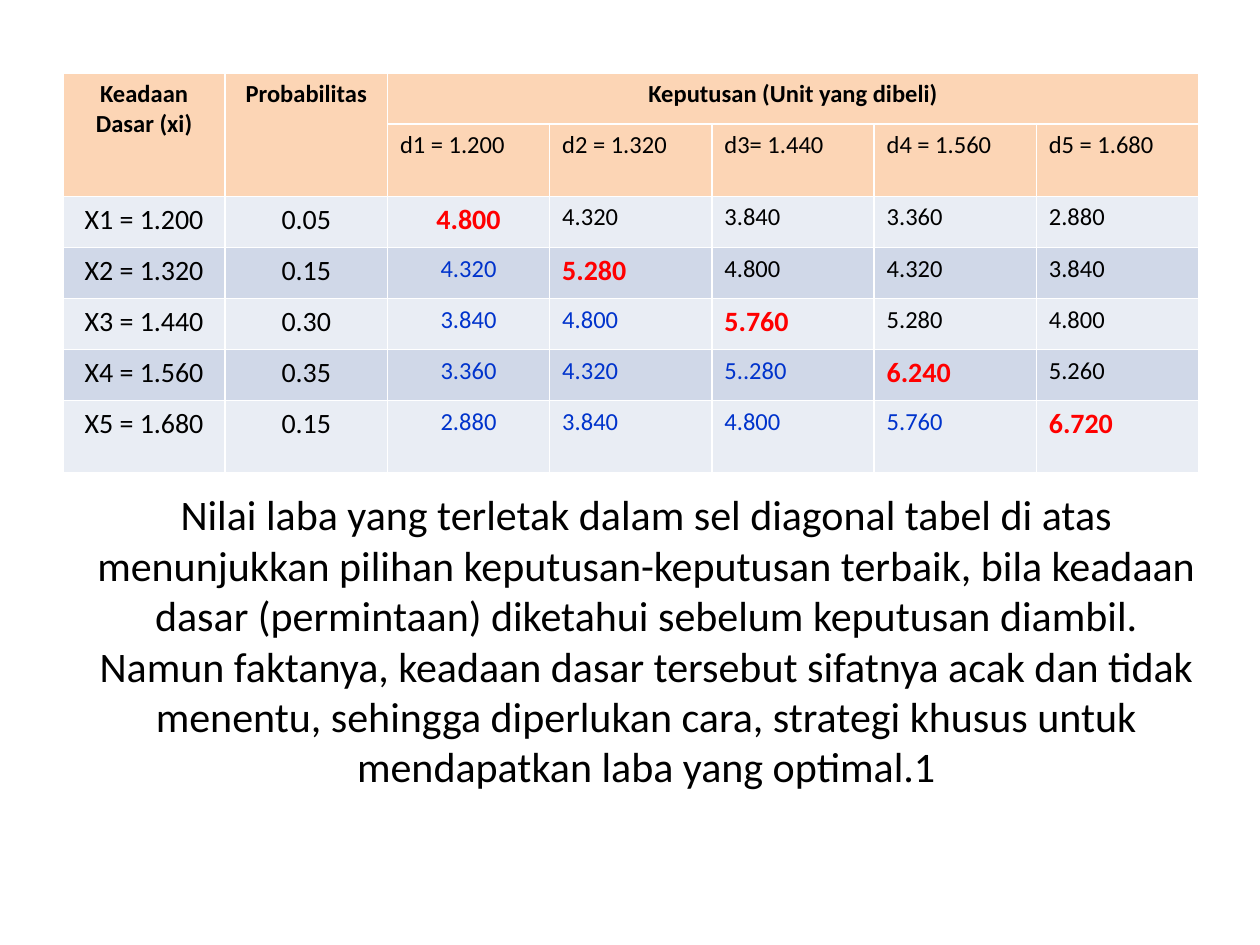
from pptx import Presentation
from pptx.dml.color import RGBColor
from pptx.enum.text import MSO_AUTO_SIZE as AutoSize, PP_ALIGN as Align
from pptx.util import Cm, Pt

BLACK, RED, BLUE = "000000", "FF0000", "0033CC"
HEADER_FILL = "FCD5B5"
BAND_FILLS = ("E9EDF4", "D0D8E8")

DECISIONS = ["d1 = 1.200", "d2 = 1.320", "d3= 1.440", "d4 = 1.560", "d5 = 1.680"]
STATES = [
    ("X1 = 1.200", "0.05", "4.800", "4.320", "3.840", "3.360", "2.880"),
    ("X2 = 1.320", "0.15", "4.320", "5.280", "4.800", "4.320", "3.840"),
    ("X3 = 1.440", "0.30", "3.840", "4.800", "5.760", "5.280", "4.800"),
    ("X4 = 1.560", "0.35", "3.360", "4.320", "5..280", "6.240", "5.260"),
    ("X5 = 1.680", "0.15", "2.880", "3.840", "4.800", "5.760", "6.720"),
]
ROW_HEIGHTS = [1.03, 1.45, 1.03, 1.03, 1.03, 1.03, 1.45]
COLUMN_WIDTH = 3.27
CONCLUSION = (
    "Nilai laba yang terletak dalam sel diagonal tabel di atas menunjukkan "
    "pilihan keputusan-keputusan terbaik, bila keadaan dasar (permintaan) "
    "diketahui sebelum keputusan diambil. Namun faktanya, keadaan dasar "
    "tersebut sifatnya acak dan tidak menentu, sehingga diperlukan cara, "
    "strategi khusus untuk mendapatkan laba yang optimal.1"
)


def rgb(color):
    return RGBColor.from_string(color)


class SlideBuilder:
    font = "Calibri"

    def __init__(self, prs):
        self.s = prs.slides.add_slide(prs.slide_layouts[6])

    def add_text(self, tf, text, size, color=BLACK, bold=False, align=Align.LEFT):
        p = tf.paragraphs[0]
        p.alignment = align
        r = p.add_run()
        r.text = text
        r.font.name = self.font
        r.font.size = Pt(size)
        r.font.bold = bold
        r.font.color.rgb = rgb(color)

    def table(self, left, top, column_count, column_width, row_heights):
        sp = self.s.shapes.add_table(
            len(row_heights), column_count, Cm(left), Cm(top),
            Cm(column_count * column_width), Cm(sum(row_heights)))
        for column in sp.table.columns:
            column.width = Cm(column_width)
        for row, height in zip(sp.table.rows, row_heights):
            row.height = Cm(height)
        return sp.table

    def fill_row(self, row, color):
        for cell in row.cells:
            cell.fill.solid()
            cell.fill.fore_color.rgb = rgb(color)

    def text_box(self, left, top, width, height, text, size):
        sp = self.s.shapes.add_textbox(Cm(left), Cm(top), Cm(width), Cm(height))
        tf = sp.text_frame
        tf.word_wrap = True
        tf.auto_size = AutoSize.SHAPE_TO_FIT_TEXT
        self.add_text(tf, text, size, align=Align.CENTER)


def add_payoff_table(builder):
    table = builder.table(1.27, 1.47, 7, COLUMN_WIDTH, ROW_HEIGHTS)
    for i, row in enumerate(table.rows):
        builder.fill_row(row, HEADER_FILL if i < 2 else BAND_FILLS[i % 2])

    for column in (0, 1):
        table.cell(0, column).merge(table.cell(1, column))
    table.cell(0, 2).merge(table.cell(0, 6))
    headings = ["Keadaan Dasar (xi)", "Probabilitas", "Keputusan (Unit yang dibeli)"]
    for column, text in enumerate(headings):
        builder.add_text(table.cell(0, column).text_frame, text, 14,
                         bold=True, align=Align.CENTER)
    for column, text in enumerate(DECISIONS, start=2):
        builder.add_text(table.cell(1, column).text_frame, text, 14)

    for i, state in enumerate(STATES):
        best = i + 2
        for column, text in enumerate(state):
            is_best = column == best
            size = 16 if column < 2 or is_best else 14
            color = RED if is_best else BLUE if 2 <= column < best else BLACK
            align = Align.CENTER if column < 3 else Align.LEFT
            builder.add_text(table.cell(i + 2, column).text_frame, text, size,
                             color, is_best, align)


def main():
    prs = Presentation()
    prs.slide_width, prs.slide_height = Cm(25.4), Cm(19.05)
    builder = SlideBuilder(prs)
    add_payoff_table(builder)
    builder.text_box(1.7, 9.73, 22.66, 6.4, CONCLUSION, 24)
    prs.save("out.pptx")


if __name__ == "__main__":
    main()
